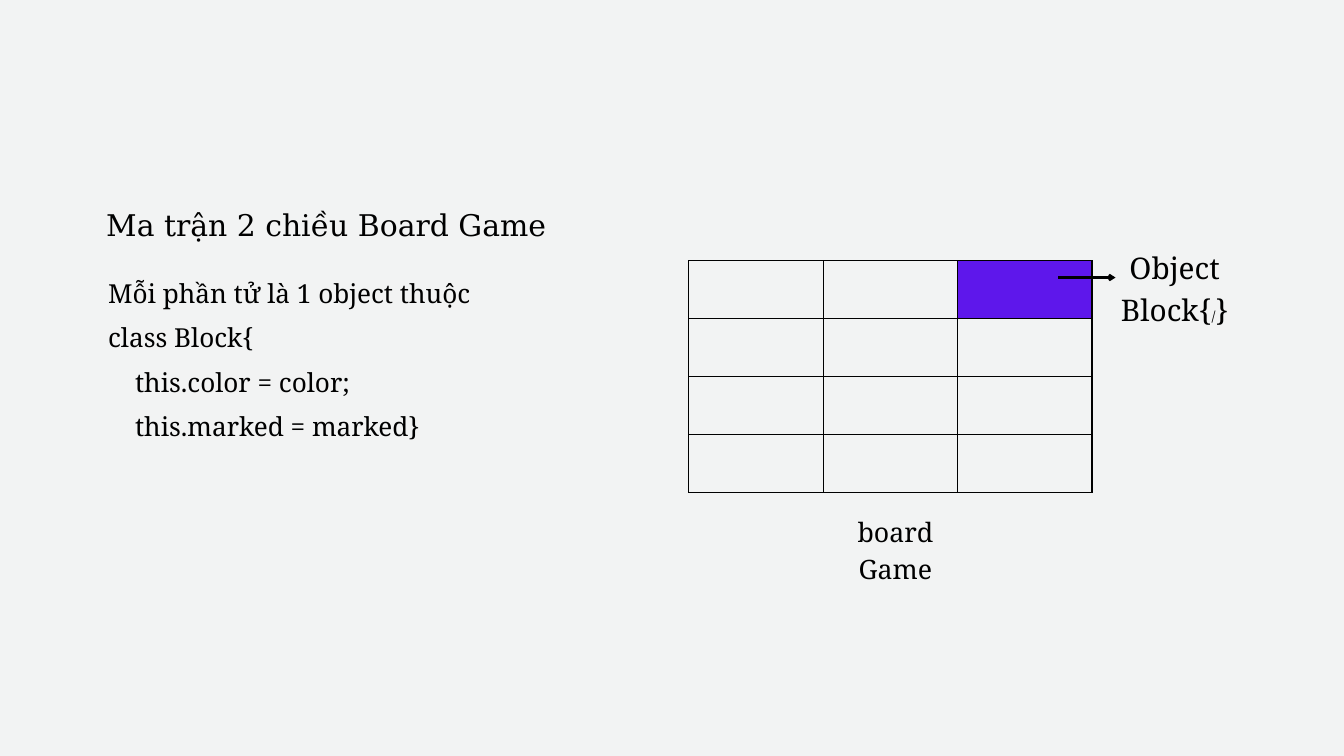
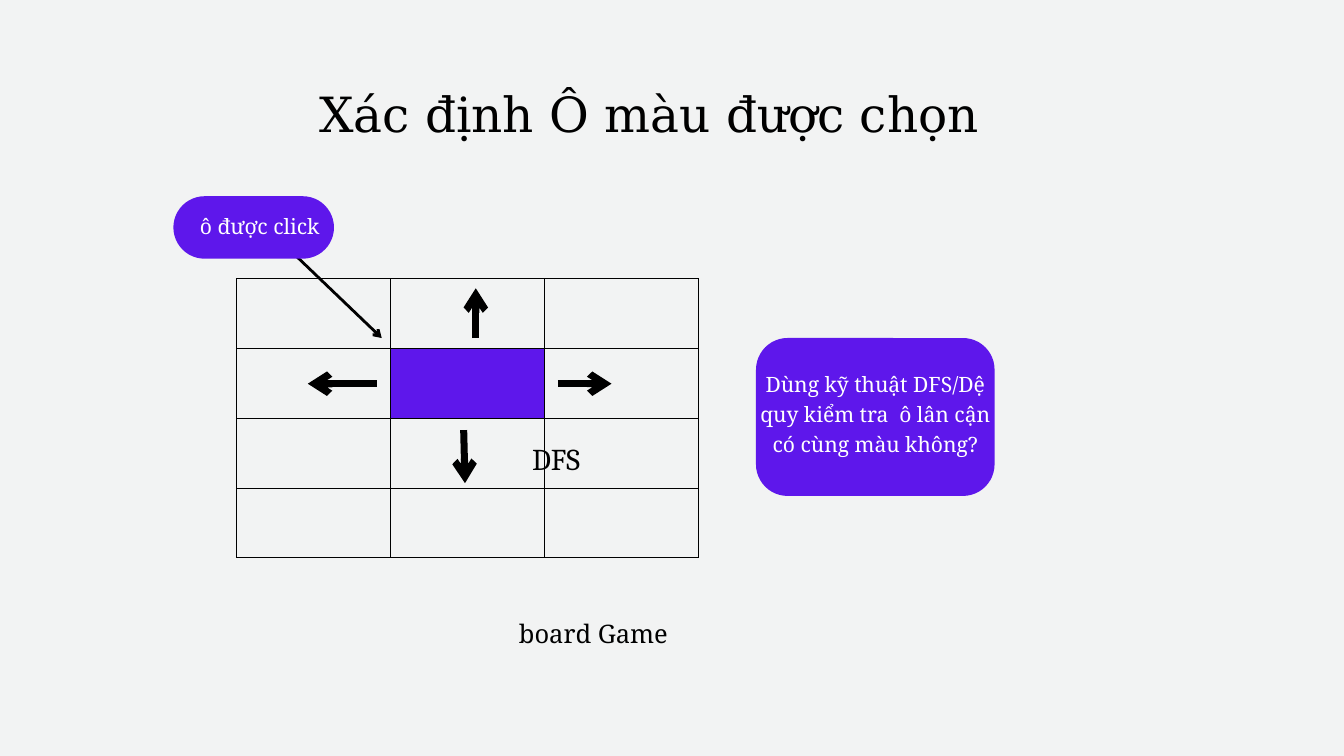
"""Builds two slides on the board-game matrix and its neighbour search."""
from dataclasses import dataclass

from lxml import etree
from pptx import Presentation
from pptx.dml.color import RGBColor
from pptx.enum.shapes import MSO_CONNECTOR, MSO_SHAPE
from pptx.enum.text import MSO_ANCHOR, MSO_AUTO_SIZE, PP_ALIGN
from pptx.oxml.ns import qn
from pptx.shapes.base import BaseShape
from pptx.slide import Slide
from pptx.text.text import TextFrame, _Run
from pptx.util import Inches, Pt

LINE = MSO_CONNECTOR.STRAIGHT
ROUND = MSO_SHAPE.ROUNDED_RECTANGLE
TOP, MIDDLE = MSO_ANCHOR.TOP, MSO_ANCHOR.MIDDLE
LEFT, CENTER = PP_ALIGN.LEFT, PP_ALIGN.CENTER
FIXED = MSO_AUTO_SIZE.NONE
COLORS = {"back": "F2F3F3", "ink": "000000", "accent": "5E17EB", "light": "FFFFFF"}
HEAD, BODY, CODE = "DejaVu Serif", "Noto Serif", "Cambria"
ROWS, COLS = 4, 3
SIDES = ("a:lnL", "a:lnR", "a:lnT", "a:lnB")


@dataclass(frozen=True)
class Box:
    """Position and size in inches."""
    left: float
    top: float
    width: float
    height: float

    def spot(self) -> tuple:
        """Return the four lengths."""
        return tuple(Inches(n) for n in (self.left, self.top, self.width, self.height))


@dataclass(frozen=True)
class Style:
    """Look of a text block; sizes in points."""
    size: float
    pitch: float
    font: str = BODY
    color: str = "ink"
    align: int = CENTER
    anchor: int = TOP
    inset: float = 0


@dataclass(frozen=True)
class Label:
    """Lines of text in a box."""
    text: str
    box: Box
    style: Style


@dataclass(frozen=True)
class Board:
    """Grid with one marked cell."""
    box: Box
    mark: tuple[int, int]
    rule: float


@dataclass(frozen=True)
class Arrow:
    """Arrow from start to end."""
    start: tuple[float, float]
    end: tuple[float, float]
    weight: float


@dataclass(frozen=True)
class Bubble:
    """Rounded shape with a label over it."""
    box: Box
    curve: float
    label: Label


NOTE = Style(22.6, 31.7, color="light", anchor=MIDDLE, inset=0.06)


def tint(name: str) -> RGBColor:
    """Return a named colour."""
    return RGBColor.from_string(COLORS[name])


def dress(run: _Run, style: Style, size: float) -> None:
    """Format one run."""
    run.font.size = Pt(size)
    run.font.name = style.font
    run.font.color.rgb = tint(style.color)


def write(shape: BaseShape, label: Label) -> TextFrame:
    """Place a shape and fill it with styled text."""
    style, frame = label.style, shape.text_frame
    shape.left, shape.top, shape.width, shape.height = label.box.spot()
    frame.text = label.text
    frame.word_wrap = True
    frame.auto_size = FIXED
    frame.vertical_anchor = style.anchor
    frame.margin_left = frame.margin_right = Inches(style.inset)
    frame.margin_top = frame.margin_bottom = Inches(style.inset)
    for para in frame.paragraphs:
        para.alignment = style.align
        para.line_spacing = Pt(style.pitch)
        para.space_before = Pt(0)
        for run in para.runs:
            dress(run, style, style.size)
    return frame


def add_label(slide: Slide, label: Label) -> TextFrame:
    """Add a text box."""
    return write(slide.shapes.add_textbox(*label.box.spot()), label)


def add_board(slide: Slide, board: Board) -> None:
    """Add the ruled grid."""
    table = slide.shapes.add_table(ROWS, COLS, *board.box.spot()).table
    table.first_row = table.horz_banding = False
    for col in table.columns:
        col.width = Inches(board.box.width / COLS)
    for row in table.rows:
        row.height = Inches(board.box.height / ROWS)
    for cell in table.iter_cells():
        props = cell._tc.get_or_add_tcPr()
        for side in SIDES:
            edge = etree.SubElement(props, qn(side), w=str(Pt(board.rule)))
            fill = etree.SubElement(edge, qn("a:solidFill"))
            etree.SubElement(fill, qn("a:srgbClr"), val=COLORS["ink"])
        cell.fill.background()
    mark = table.cell(*board.mark)
    mark.fill.solid()
    mark.fill.fore_color.rgb = tint("accent")


def add_arrow(slide: Slide, arrow: Arrow) -> None:
    """Add a straight arrow."""
    ends = [Inches(n) for n in arrow.start + arrow.end]
    link = slide.shapes.add_connector(LINE, *ends)
    link.line.color.rgb = tint("ink")
    link.line.width = Pt(arrow.weight)
    etree.SubElement(link.line._get_or_add_ln(), qn("a:tailEnd"), type="arrow")
    etree.SubElement(link._element.spPr, qn("a:effectLst"))


def add_bubble(slide: Slide, bubble: Bubble) -> None:
    """Add a rounded shape and its label."""
    shape = slide.shapes.add_shape(ROUND, *bubble.box.spot())
    shape.adjustments[0] = bubble.curve
    shape.shadow.inherit = False
    shape.fill.solid()
    shape.fill.fore_color.rgb = tint("accent")
    shape.line.fill.background()
    add_label(slide, bubble.label)


def add_slide(deck: Presentation, title: Label) -> Slide:
    """Add a title-only slide."""
    slide = deck.slides.add_slide(deck.slide_layouts[5])
    write(slide.shapes.title, title)
    return slide


def draw_class(deck: Presentation) -> None:
    """Draw the matrix and its block class."""
    slide = add_slide(deck, Label("Ma trận 2 chiều Board Game", Box(1.58, 2.87, 8.74, 0.75),
                                  Style(32, 53.2, HEAD, align=LEFT)))
    add_board(slide, Board(Box(10.25, 3.88, 6, 3.45), (0, 2), 1.33))
    style = Style(31.9, 44.7)
    frame = add_label(slide, Label("Object Block{", Box(16.08, 3.63, 2.8, 1.25), style))
    for text, size in (("/", 14.7), ("}", style.size)):
        run = frame.paragraphs[0].add_run()
        run.text = text
        dress(run, style, size)
    add_arrow(slide, Arrow((15.75, 4.13), (16.6, 4.13), 2.25))
    add_label(slide, Label("board Game", Box(12.17, 7.59, 2.31, 0.54), Style(28.6, 40)))
    code = "Mỗi phần tử là 1 object thuộc\nclass Block{\nthis.color = color;\nthis.marked = marked}"
    frame = add_label(slide, Label(code, Box(1.61, 3.93, 5.56, 3.34),
                                   Style(28, 47.6, align=LEFT)))
    for para in frame.paragraphs[2:]:
        para._p.get_or_add_pPr().set("marL", str(Inches(0.4)))


def draw_search(deck: Presentation) -> None:
    """Draw the search around the clicked cell."""
    slide = add_slide(deck, Label("Xác định Ô màu được chọn", Box(4.23, 1.1, 10.86, 0.99),
                                  Style(52, 72.8, HEAD)))
    add_board(slide, Board(Box(3.52, 4.15, 6.88, 4.15), (1, 1), 1.21))
    add_arrow(slide, Arrow((4.25, 3.66), (5.68, 5.03), 3))
    hint = "Dùng kỹ thuật DFS/Dệ quy kiểm tra  ô lân cận có cùng màu không?"
    for bubble in (
        Bubble(Box(2.58, 2.92, 2.39, 0.93), 0.5,
               Label("ô được click", Box(2.67, 2.79, 2.39, 1.08), NOTE)),
        Bubble(Box(11.25, 5.03, 3.55, 2.35), 0.2,
               Label(hint, Box(11.25, 4.88, 3.55, 2.5), NOTE)),
    ):
        add_bubble(slide, bubble)
    add_label(slide, Label("board Game", Box(7.04, 9.12, 3.58, 0.54), Style(27.3, 38.2)))
    for start, end in (
        ((8.3, 5.71), (9.1, 5.71)),
        ((7.08, 5.03), (7.08, 4.29)),
        ((5.61, 5.71), (4.58, 5.71)),
        ((6.9, 6.4), (6.92, 7.19)),
    ):
        add_arrow(slide, Arrow(start, end, 7.5))
    add_label(slide, Label("DFS", Box(7.83, 6.46, 0.89, 0.61), Style(32.4, 45.4, CODE)))


def main() -> None:
    """Build and save the deck."""
    deck = Presentation()
    deck.slide_width, deck.slide_height = Inches(20), Inches(11.25)
    back = deck.slide_master.background.fill
    back.solid()
    back.fore_color.rgb = tint("back")
    draw_class(deck)
    draw_search(deck)
    deck.save("out.pptx")


if __name__ == "__main__":
    main()
